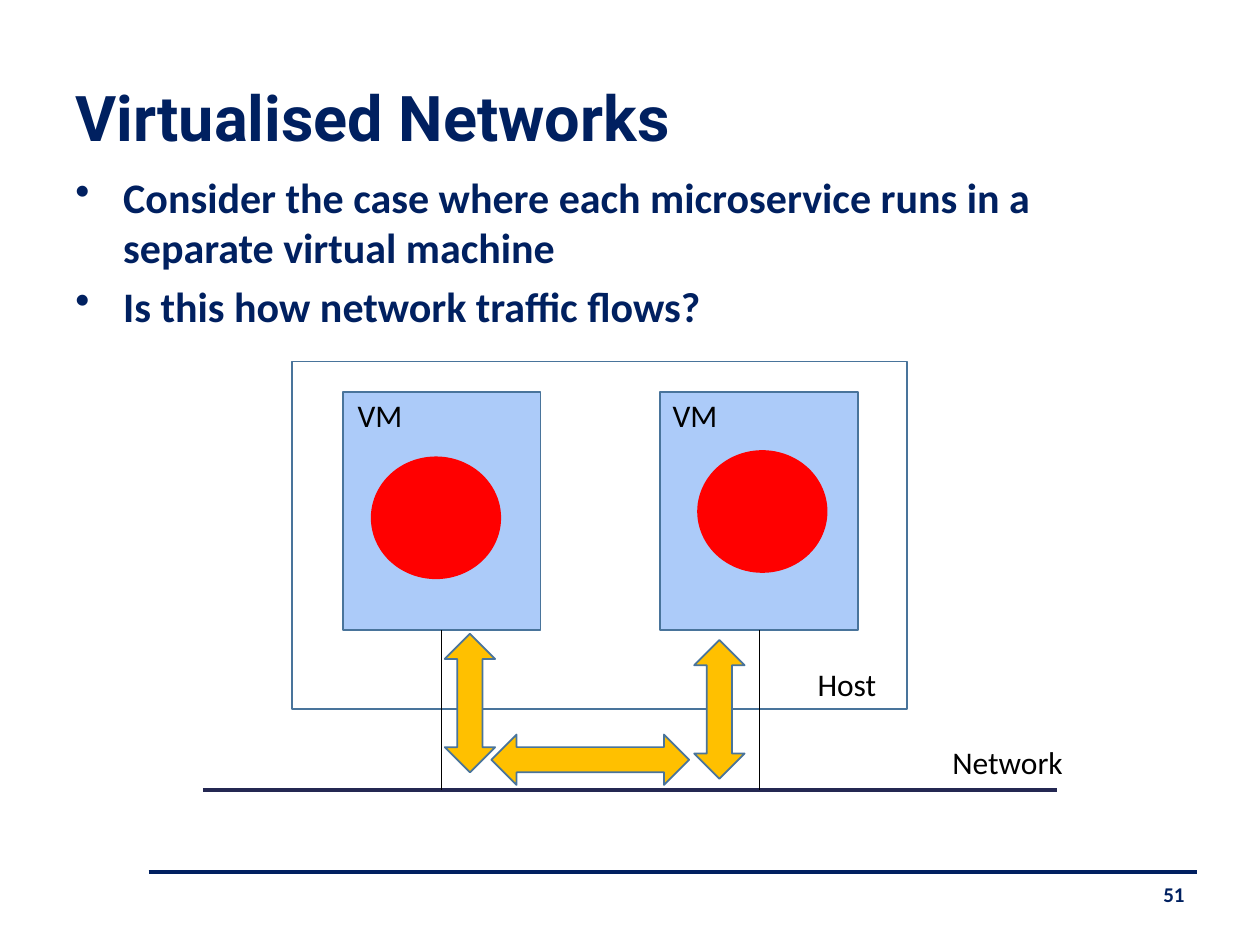
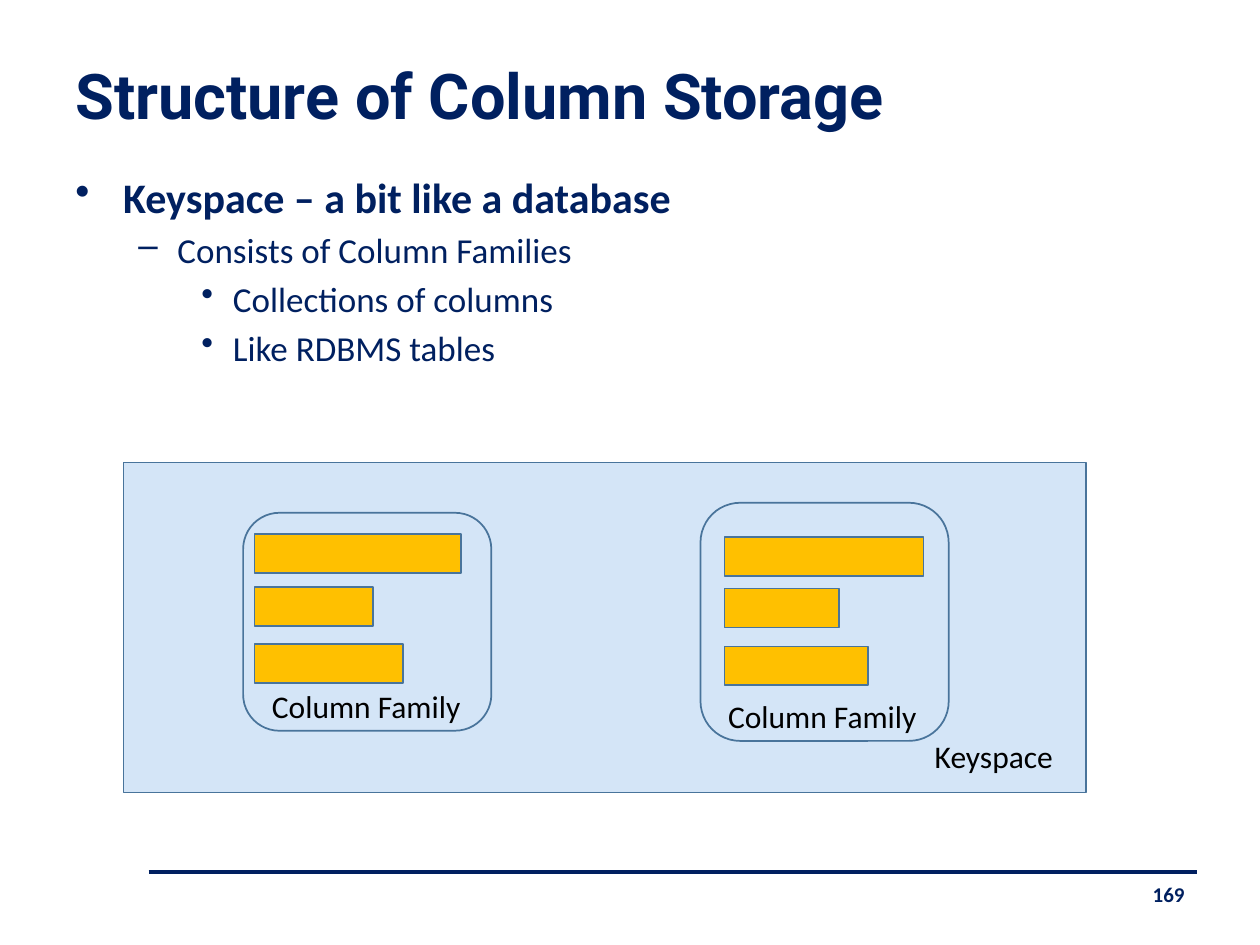
"""Build two lecture slides on virtualised networks and column storage."""
from dataclasses import dataclass
from typing import NamedTuple

from lxml.etree import SubElement
from pptx import Presentation
from pptx.dml.color import RGBColor
from pptx.enum.shapes import MSO_CONNECTOR, MSO_SHAPE
from pptx.enum.text import MSO_ANCHOR, MSO_AUTO_SIZE, PP_ALIGN
from pptx.oxml.ns import qn
from pptx.presentation import Presentation as Deck
from pptx.slide import Slide
from pptx.text.text import Font, TextFrame
from pptx.util import Inches, Pt


@dataclass(frozen=True)
class Theme:
    """Colours, fonts and type sizes shared by the slides."""
    navy: str = "002060"
    outline: str = "49749B"
    cable: str = "242852"
    black: str = "000000"
    vm: str = "ACCBF9"
    service: str = "FF0000"
    amber: str = "FFC000"
    keyspace: str = "D4E5F7"
    title_font: str = "Roboto"
    body_font: str = "Calibri"
    title_size: int = 36
    label_size: int = 18
    number_size: int = 12


THEME = Theme()


class Box(NamedTuple):
    """A frame in inches."""
    left: float
    top: float
    width: float
    height: float

    def lengths(self) -> list[int]:
        """Return the frame as lengths."""
        return [Inches(value) for value in self]


class Level(NamedTuple):
    """The look of one outline level."""
    bullet: str
    margin: float
    hanging: float
    size: int
    bold: bool


class Point(NamedTuple):
    """A bullet point and its outline level."""
    text: str
    level: int = 0


class Label(NamedTuple):
    """A caption in the diagram."""
    text: str
    left: float
    top: float
    width: float


class VirtualMachine(NamedTuple):
    """A virtual machine with its service and its caption."""
    left: float
    label_left: float
    service_left: float
    service_top: float


class Traffic(NamedTuple):
    """A double-headed traffic arrow, turned by an angle."""
    left: float
    top: float
    length: float
    angle: int


class ColumnFamily(NamedTuple):
    """A column family with the columns in it."""
    frame: Box
    label: Label
    columns_left: float
    columns: tuple[tuple[float, float], ...]


LEVELS = (
    Level("•", 0.38, 0.38, 24, True),
    Level("–", 0.81, 0.31, 20, False),
    Level("•", 1.25, 0.25, 20, False),
)
MACHINE_TOP, MACHINE_WIDTH, MACHINE_HEIGHT = 3.11, 1.57, 1.89
CABLE_Y = 6.27
ARROW_HEIGHT = 0.4
COLUMN_HEIGHT = 0.31
LABEL_HEIGHT = 0.4


def style_font(font: Font, size: int, color: str, bold: bool = False,
               name: str = THEME.body_font) -> None:
    """Set the face, size, colour and weight of a font."""
    font.name, font.size, font.bold = name, Pt(size), bold
    font.color.rgb = RGBColor.from_string(color)


def add_text(slide: Slide, box: Box, wrap: bool = True) -> TextFrame:
    """Add an empty text box and return its frame."""
    frame = slide.shapes.add_textbox(*box.lengths()).text_frame
    frame.word_wrap = wrap
    return frame


def add_block(slide: Slide, box: Box, fill: str | None = None,
              kind: MSO_SHAPE = MSO_SHAPE.RECTANGLE,
              line: str = THEME.outline, angle: int = 0) -> None:
    """Add an outlined shape, filled when a colour is given."""
    block = slide.shapes.add_shape(kind, *box.lengths())
    block.shadow.inherit = False
    block.rotation = angle
    if fill:
        block.fill.solid()
        block.fill.fore_color.rgb = RGBColor.from_string(fill)
    else:
        block.fill.background()
    block.line.color.rgb = RGBColor.from_string(line)
    block.line.width = Pt(1)


def add_line(slide: Slide, start: tuple[float, float], end: tuple[float, float],
             color: str, width: float) -> None:
    """Draw a straight line without a shadow."""
    line = slide.shapes.add_connector(
        MSO_CONNECTOR.STRAIGHT, *(Inches(value) for value in start + end))
    line.line.color.rgb = RGBColor.from_string(color)
    line.line.width = Pt(width)
    SubElement(line._element.spPr, qn("a:effectLst"))


def add_label(slide: Slide, label: Label) -> None:
    """Add a caption that fits its text."""
    box = Box(label.left, label.top, label.width, LABEL_HEIGHT)
    frame = add_text(slide, box, wrap=False)
    frame.auto_size = MSO_AUTO_SIZE.SHAPE_TO_FIT_TEXT
    frame.text = label.text
    style_font(frame.paragraphs[0].runs[0].font, THEME.label_size, THEME.black)


def add_points(slide: Slide, points: list[Point]) -> None:
    """Add the bulleted outline."""
    frame = add_text(slide, Box(0.5, 1.31, 9, 5.44))
    for index, point in enumerate(points):
        level = LEVELS[point.level]
        paragraph = frame.add_paragraph() if index else frame.paragraphs[0]
        paragraph.text = point.text
        paragraph.level = point.level
        properties = paragraph._p.get_or_add_pPr()
        properties.set("marL", str(Inches(level.margin)))
        properties.set("indent", str(-Inches(level.hanging)))
        SubElement(properties, qn("a:buChar")).set("char", level.bullet)
        if index:
            paragraph.space_before = Pt(level.size * 0.2)
        style_font(paragraph.font, level.size, THEME.navy, level.bold)
        style_font(paragraph.runs[0].font, level.size, THEME.navy, level.bold)


def start_slide(deck: Deck, title: str, title_height: float, number: int,
                points: list[Point]) -> Slide:
    """Add a slide with its title, footer rule, number and outline."""
    slide = deck.slides.add_slide(deck.slide_layouts[6])
    add_line(slide, (1.18, 6.92), (9.5, 6.92), THEME.navy, 2.25)

    heading = add_text(slide, Box(0.5, 0.29, 9.07, title_height))
    heading.vertical_anchor = MSO_ANCHOR.MIDDLE
    heading.text = title
    style_font(heading.paragraphs[0].runs[0].font, THEME.title_size, THEME.navy,
               True, THEME.title_font)

    add_points(slide, points)

    footer = add_text(slide, Box(6.58, 6.95, 2.92, 0.4))
    footer.text = str(number)
    footer.paragraphs[0].alignment = PP_ALIGN.RIGHT
    style_font(footer.paragraphs[0].runs[0].font, THEME.number_size, THEME.navy, True)
    return slide


def add_machine(slide: Slide, machine: VirtualMachine) -> None:
    """Draw a virtual machine, its service and its drop to the network."""
    add_block(slide, Box(machine.left, MACHINE_TOP, MACHINE_WIDTH, MACHINE_HEIGHT),
              THEME.vm)
    add_label(slide, Label("VM", machine.label_left, 3.09, 0.56))
    add_block(slide, Box(machine.service_left, machine.service_top, 1.02, 0.96),
              THEME.service, MSO_SHAPE.OVAL, THEME.service)
    middle = machine.left + MACHINE_WIDTH / 2
    add_line(slide, (middle, MACHINE_TOP + MACHINE_HEIGHT), (middle, CABLE_Y),
             THEME.black, 0.5)


def add_family(slide: Slide, family: ColumnFamily) -> None:
    """Draw a column family, its caption and its columns."""
    add_block(slide, family.frame, kind=MSO_SHAPE.ROUNDED_RECTANGLE)
    add_label(slide, family.label)
    for top, width in family.columns:
        add_block(slide, Box(family.columns_left, top, width, COLUMN_HEIGHT),
                  THEME.amber)


def build_networks(deck: Deck) -> None:
    """Build the slide on virtualised networks."""
    slide = start_slide(deck, "Virtualised Networks", 1.26, 51, [
        Point("Consider the case where each microservice runs in a "
              "separate virtual machine"),
        Point("Is this how network traffic flows?"),
    ])
    add_block(slide, Box(2.32, 2.87, 4.88, 2.76))
    add_line(slide, (1.61, CABLE_Y), (8.39, CABLE_Y), THEME.cable, 2.5)
    for machine in (VirtualMachine(2.72, 2.74, 2.95, 3.63),
                    VirtualMachine(5.24, 5.24, 5.54, 3.58)):
        add_machine(slide, machine)
    for label in (Label("Network", 7.46, 5.85, 1.09),
                  Label("Host", 6.39, 5.23, 0.67)):
        add_label(slide, label)
    for flow in (Traffic(3.18, 5.38, 1.1, 270),
                 Traffic(3.9, 5.83, 1.57, 0),
                 Traffic(5.16, 5.43, 1.1, 270)):
        add_block(slide, Box(flow.left, flow.top, flow.length, ARROW_HEIGHT),
                  THEME.amber, MSO_SHAPE.LEFT_RIGHT_ARROW, angle=flow.angle)


def build_storage(deck: Deck) -> None:
    """Build the slide on column storage."""
    slide = start_slide(deck, "Structure of Column Storage", 0.91, 169, [
        Point("Keyspace – a bit like a database"),
        Point("Consists of Column Families", 1),
        Point("Collections of columns", 2),
        Point("Like RDBMS tables", 2),
    ])
    add_block(slide, Box(0.98, 3.67, 7.64, 2.62), THEME.keyspace)
    add_label(slide, Label("Keyspace", 7.32, 5.8, 1.15))
    for family in (
        ColumnFamily(Box(1.93, 4.07, 1.97, 1.73),
                     Label("Column Family", 2.06, 5.4, 1.72), 2.02,
                     ((4.24, 1.64), (4.66, 0.94), (5.11, 1.18))),
        ColumnFamily(Box(5.56, 3.99, 1.97, 1.89),
                     Label("Column Family", 5.68, 5.48, 1.72), 5.75,
                     ((4.26, 1.58), (4.67, 0.91), (5.13, 1.14))),
    ):
        add_family(slide, family)


def main() -> None:
    """Build and save the deck."""
    deck = Presentation()
    deck.slide_width, deck.slide_height = Inches(10), Inches(7.5)
    build_networks(deck)
    build_storage(deck)
    deck.save("out.pptx")


if __name__ == "__main__":
    main()
